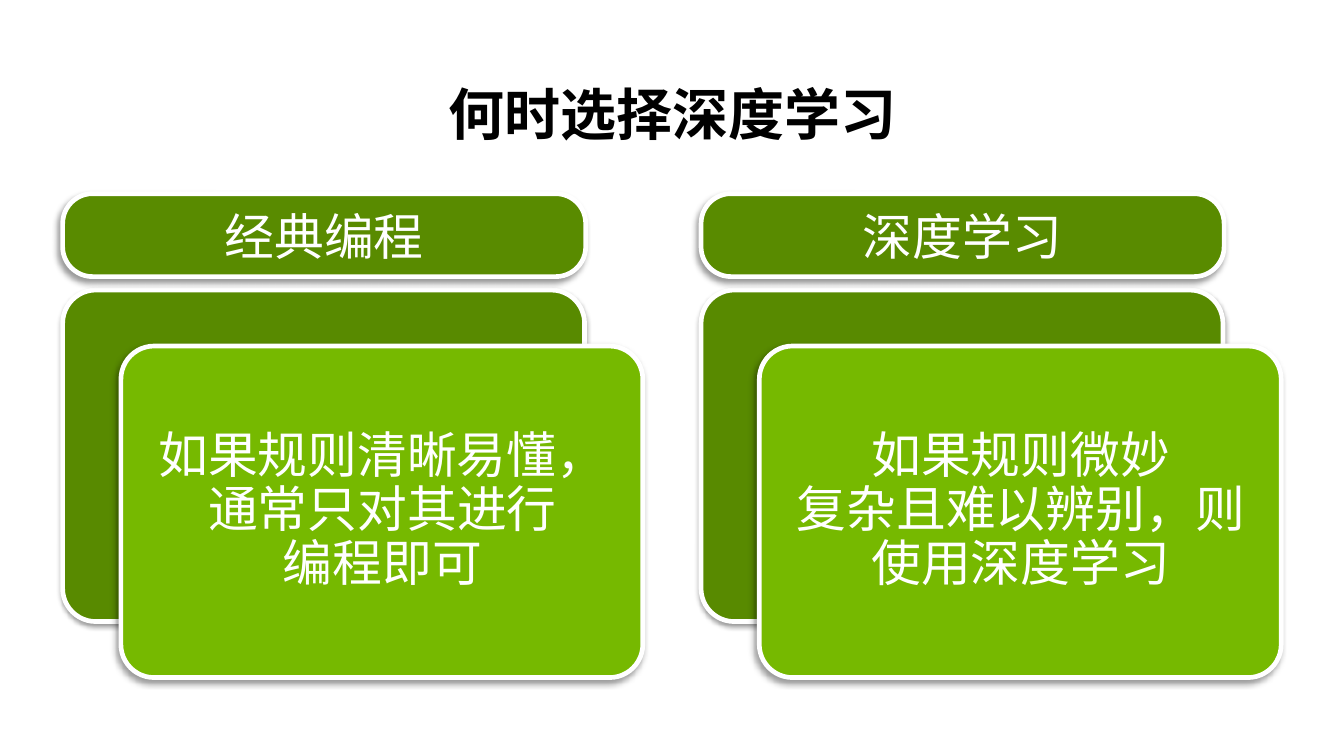
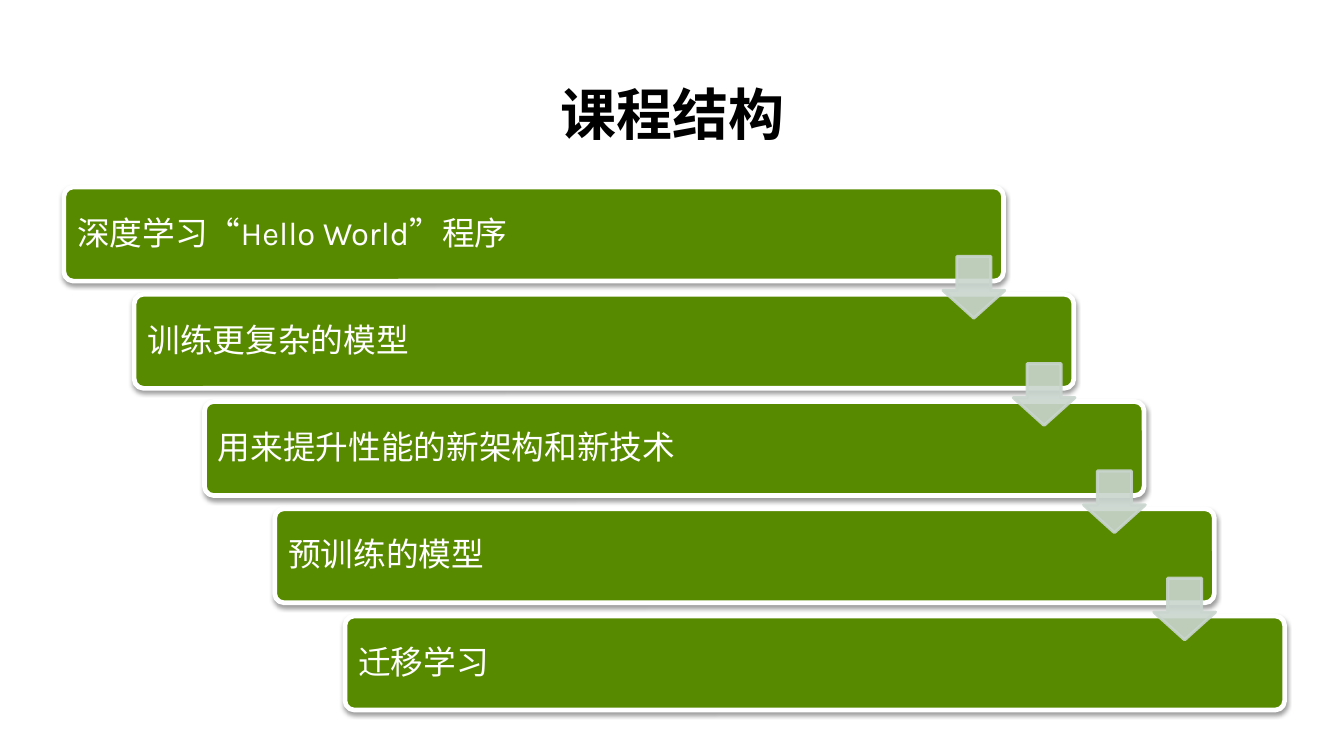
from dataclasses import dataclass

from lxml import etree
from pptx import Presentation
from pptx.dml.color import RGBColor
from pptx.enum.lang import MSO_LANGUAGE_ID
from pptx.enum.shapes import MSO_SHAPE
from pptx.enum.text import MSO_ANCHOR, MSO_AUTO_SIZE, PP_ALIGN
from pptx.oxml.ns import qn
from pptx.util import Inches, Pt

ROUND, DOWN = MSO_SHAPE.ROUNDED_RECTANGLE, MSO_SHAPE.DOWN_ARROW
LEFT, CENTER = PP_ALIGN.LEFT, PP_ALIGN.CENTER
MIDDLE, BOTTOM = MSO_ANCHOR.MIDDLE, MSO_ANCHOR.BOTTOM
NO_FIT = MSO_AUTO_SIZE.NONE
CHINESE = MSO_LANGUAGE_ID.SIMPLIFIED_CHINESE

FONT = "Karla"
WHITE, BLACK = "FFFFFF", "000000"
DARK, HEAD, LIME, GREY = "588A00", "598B00", "76B900", "C9D5CE"


@dataclass(frozen=True)
class Box:
    x: float
    y: float
    w: float
    h: float

    def inches(self):
        return [Inches(v) for v in (self.x, self.y, self.w, self.h)]

    def move(self, dx: float, dy: float) -> "Box":
        return Box(self.x + dx, self.y + dy, self.w, self.h)


@dataclass(frozen=True)
class Shadow:
    alpha: int
    blur: float
    dist: float
    angle: int


@dataclass(frozen=True)
class Style:
    size: int
    color: str = WHITE
    bold: bool = False
    align: PP_ALIGN = CENTER
    anchor: MSO_ANCHOR = MIDDLE
    space: float = 0.9
    pad_x: float = 0.1
    pad_y: float = 0.05


@dataclass(frozen=True)
class Choice:
    head: str
    body: str


SOFT = Shadow(38, 3.1, 1.6, 90)
DEEP = Shadow(40, 4, 3, 135)

TITLE_BOX = Box(0.55, 0.72, 10.91, 0.65)
TITLE = Style(36, BLACK, True, anchor=BOTTOM)
HEADING = Style(32, space=1.0)
CARD = Style(32, pad_x=0.13, pad_y=0.13)
STEP = Style(21, align=LEFT, pad_x=0.09, pad_y=0.09)

CHOICES = [
    Choice("经典编程", "如果规则清晰易懂，通常只对其进行\n编程即可"),
    Choice("深度学习", "如果规则微妙\n复杂且难以辨别，则使用深度学习"),
]
STEPS = [
    "深度学习“Hello World”程序",
    "训练更复杂的模型",
    "用来提升性能的新架构和新技术",
    "预训练的模型",
    "迁移学习",
]


def rgb(color: str) -> RGBColor:
    return RGBColor.from_string(color)


def write(shape, text: str, style: Style) -> None:
    frame = shape.text_frame
    frame.word_wrap = True
    frame.auto_size = NO_FIT
    frame.vertical_anchor = style.anchor
    frame.margin_left = frame.margin_right = Inches(style.pad_x)
    frame.margin_top = frame.margin_bottom = Inches(style.pad_y)
    para = frame.paragraphs[0]
    para.text = text
    para.alignment = style.align
    para.line_spacing = style.space
    para.space_before = Pt(0)
    for run in para.runs:
        font = run.font
        font.name, font.size, font.bold = FONT, Pt(style.size), style.bold
        font.color.rgb = rgb(style.color)
        font.language_id = CHINESE


def label(slide, box: Box, text: str, style: Style) -> None:
    write(slide.shapes.add_textbox(*box.inches()), text, style)


def draw(slide, kind: MSO_SHAPE, box: Box, adjust: list[float],
         fill: str, line: str, width: float):
    shape = slide.shapes.add_shape(kind, *box.inches())
    for i, value in enumerate(adjust):
        shape.adjustments[i] = value
    shape.fill.solid()
    shape.fill.fore_color.rgb = rgb(fill)
    shape.line.color.rgb = rgb(line)
    shape.line.width = Pt(width)
    shape.shadow.inherit = False
    return shape


def set_alpha(color, percent: int) -> None:
    etree.SubElement(color, qn("a:alpha")).set("val", str(percent * 1000))


def panel(slide, box: Box, fill: str, shadow: Shadow, corner: float = 0.1):
    """Draw a white-edged rounded box that casts a shadow."""
    shape = draw(slide, ROUND, box, [corner], fill, WHITE, 3)
    effects = shape.element.spPr.find(qn("a:effectLst"))
    outer = etree.SubElement(
        effects, qn("a:outerShdw"), blurRad=str(Pt(shadow.blur)),
        dist=str(Pt(shadow.dist)), dir=str(shadow.angle * 60000),
        rotWithShape="0")
    set_alpha(etree.SubElement(outer, qn("a:srgbClr"), val=BLACK), shadow.alpha)
    return shape


def arrow(slide, box: Box) -> None:
    shape = draw(slide, DOWN, box, [0.55, 0.45], GREY, GREY, 2)
    for color in shape.element.spPr.iter(qn("a:srgbClr")):
        set_alpha(color, 90)


def add_slide(deck, title: str):
    slide = deck.slides.add_slide(deck.slide_layouts[5])
    holder = slide.shapes.title
    holder.left, holder.top, holder.width, holder.height = TITLE_BOX.inches()
    write(holder, title, TITLE)
    return slide


def add_choices(deck) -> None:
    slide = add_slide(deck, "何时选择深度学习")
    back, head = Box(0.56, 2.59, 4.66, 2.96), Box(0.56, 1.73, 4.67, 0.74)
    text = Box(1.17, 3.17, 4.49, 2.79)
    for i, choice in enumerate(CHOICES):
        dx = 5.7 * i
        panel(slide, back.move(dx, 0), DARK, SOFT)
        panel(slide, back.move(dx + 0.52, 0.5), LIME, DEEP)
        label(slide, text.move(dx, 0), choice.body, CARD)
        top = panel(slide, head.move(dx, 0), HEAD, DEEP, 0.36)
        write(top, choice.head, HEADING)


def add_steps(deck) -> None:
    slide = add_slide(deck, "课程结构")
    bar, tip = Box(0.57, 1.67, 8.39, 0.84), Box(8.42, 2.29, 0.55, 0.55)
    text = Box(0.6, 1.7, 7.17, 0.79)
    dx, dy = (3.08 - bar.x) / 4, (5.5 - bar.y) / 4
    for i, step in enumerate(STEPS):
        panel(slide, bar.move(i * dx, i * dy), DARK, SOFT)
        label(slide, text.move(i * dx, i * dy), step, STEP)
    for i in range(len(STEPS) - 1):
        arrow(slide, tip.move(i * dx, i * dy))


def main() -> None:
    deck = Presentation()
    deck.slide_width, deck.slide_height = Inches(12), Inches(6.75)
    add_choices(deck)
    add_steps(deck)
    deck.save("out.pptx")


if __name__ == "__main__":
    main()
